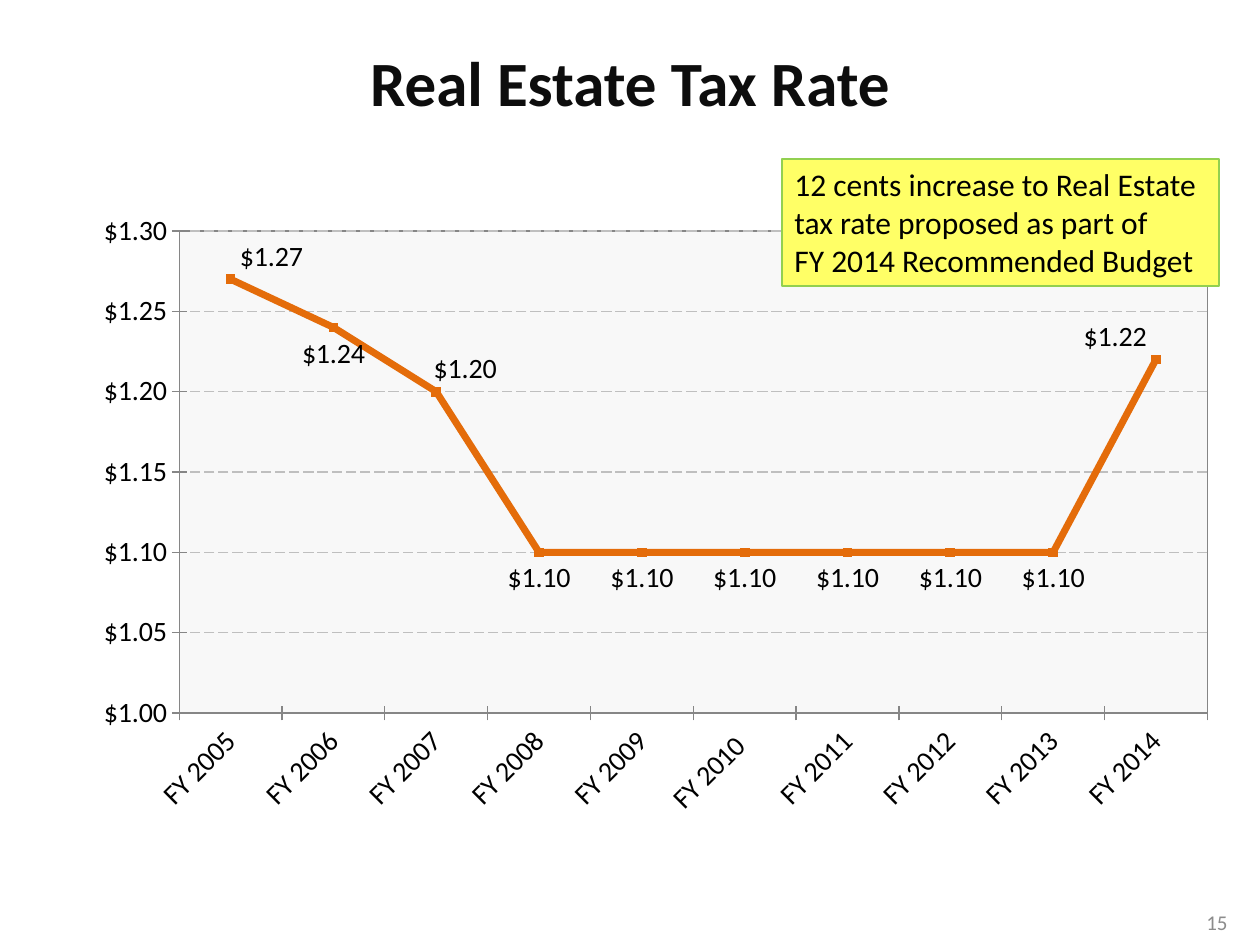
from lxml import etree
from pptx import Presentation
from pptx.chart.data import CategoryChartData
from pptx.dml.color import RGBColor
from pptx.enum.chart import XL_CHART_TYPE, XL_LABEL_POSITION, XL_MARKER_STYLE, XL_TICK_MARK
from pptx.enum.dml import MSO_LINE
from pptx.enum.shapes import MSO_SHAPE
from pptx.enum.text import MSO_ANCHOR, MSO_AUTO_SIZE, PP_ALIGN
from pptx.oxml import parse_xml
from pptx.oxml.ns import nsdecls, qn
from pptx.util import Pt

BELOW, LEFT, RIGHT = XL_LABEL_POSITION.BELOW, XL_LABEL_POSITION.LEFT, XL_LABEL_POSITION.RIGHT
CROSS = XL_TICK_MARK.CROSS
FONT = "Calibri"
MONEY = '"$"#,##0.00'
ORANGE = "E46C0A"

TITLE = "Real Estate Tax Rate"
NOTE = ["12 cents increase to Real Estate tax rate proposed as part of",
        "FY 2014 Recommended Budget"]
PAGE = "15"
RATES = [("FY 2005", 1.27), ("FY 2006", 1.24), ("FY 2007", 1.2), ("FY 2008", 1.1),
         ("FY 2009", 1.1), ("FY 2010 ", 1.1), ("FY 2011", 1.1), ("FY 2012", 1.1),
         ("FY 2013", 1.1), ("FY 2014", 1.22)]
MOVED_LABELS = {0: (RIGHT, 0, -0.03), 2: (RIGHT, -0.01, -0.03), 9: (LEFT, 0, -0.03)}
PLOT = {"x": 0.123, "y": 0.023, "w": 0.859, "h": 0.656}


def px(n):
    return round(n * 914400 / 126)


def box(*lengths):
    return [px(n) for n in lengths]


def rgb(color):
    return RGBColor.from_string(color)


def style(font, size, color="000000", bold=False):
    font.name, font.size, font.bold = FONT, Pt(size), bold
    font.color.rgb = rgb(color)


def line(fmt, color, width):
    fmt.color.rgb = rgb(color)
    fmt.width = Pt(width)


def layout(settings):
    root = parse_xml(f"<c:layout {nsdecls('c')}><c:manualLayout/></c:layout>")
    for tag, value in settings.items():
        etree.SubElement(root[0], qn(f"c:{tag}")).set("val", str(value))
    return root


def add_title(s):
    sp = s.shapes.title
    sp.left, sp.top, sp.width, sp.height = box(344, 37, 572, 89)
    tf = sp.text_frame
    tf.text = TITLE
    tf.word_wrap = False
    tf.auto_size = MSO_AUTO_SIZE.SHAPE_TO_FIT_TEXT
    tf.vertical_anchor = MSO_ANCHOR.TOP
    style(tf.paragraphs[0].runs[0].font, 36, "0D0D0D", True)


def add_rate_chart(s):
    data = CategoryChartData(number_format=MONEY)
    data.categories = [year for year, rate in RATES]
    data.add_series("Series 1", [rate for year, rate in RATES])
    chart = s.shapes.add_chart(XL_CHART_TYPE.LINE_MARKERS, *box(32, 214, 1197, 735), data).chart
    chart.has_legend = chart.has_title = False
    style(chart.font, 18)

    for axis in (chart.category_axis, chart.value_axis):
        axis.major_tick_mark = CROSS
        style(axis.tick_labels.font, 16)
        line(axis.format.line, "868686", 0.75)
    labels = chart.category_axis.tick_labels.font
    chart.category_axis._element.find(qn("c:txPr")).find(qn("a:bodyPr")).set("rot", "-2700000")

    axis = chart.value_axis
    axis.minimum_scale, axis.maximum_scale, axis.major_unit = 1, 1.3, 0.05
    axis.tick_labels.number_format = MONEY
    axis.tick_labels.number_format_is_linked = False
    grid = axis.major_gridlines.format.line
    line(grid, "BFBFBF", 0.75)
    grid.dash_style = MSO_LINE.LONG_DASH

    plot = chart.plots[0]
    plot.vary_by_categories = False
    series = plot.series[0]
    series.smooth = False
    line(series.format.line, ORANGE, 4)
    series.marker.style, series.marker.size = XL_MARKER_STYLE.SQUARE, 5
    series.marker.format.fill.solid()
    series.marker.format.fill.fore_color.rgb = rgb(ORANGE)
    line(series.marker.format.line, ORANGE, 0.75)

    labels = series.data_labels
    labels.show_value = True
    labels.position = BELOW
    labels.number_format, labels.number_format_is_linked = MONEY, False
    style(labels.font, 16)
    for i, (position, dx, dy) in MOVED_LABELS.items():
        label = series.points[i].data_label
        style(label.font, 16)
        label.position = position
        element = next(d for d in labels._element.findall(qn("c:dLbl"))
                       if d.find(qn("c:idx")).get("val") == str(i))
        element.insert(1, layout({"x": dx, "y": dy}))

    area = chart._chartSpace.chart.plotArea
    for old in area.findall(qn("c:layout")):
        area.remove(old)
    area.insert(0, layout({"layoutTarget": "inner", "xMode": "edge", "yMode": "edge", **PLOT}))
    area.append(parse_xml(
        f"<c:spPr {nsdecls('c', 'a')}><a:solidFill><a:srgbClr val='F2F2F2'>"
        "<a:alpha val='50000'/></a:srgbClr></a:solidFill><a:ln w='9525'><a:solidFill>"
        "<a:srgbClr val='868686'/></a:solidFill></a:ln></c:spPr>"))


def add_page_number(s):
    tf = s.shapes.add_textbox(*box(946, 897, 294, 50)).text_frame
    tf.word_wrap = True
    tf.vertical_anchor = MSO_ANCHOR.MIDDLE
    tf.text = PAGE
    p = tf.paragraphs[0]
    p.alignment = PP_ALIGN.RIGHT
    style(p.runs[0].font, 12, "8C8C8C")


def add_note(s):
    sp = s.shapes.add_shape(MSO_SHAPE.RECTANGLE, *box(782, 159, 437, 127))
    sp.shadow.inherit = False
    sp.fill.solid()
    sp.fill.fore_color.rgb = rgb("FFFF66")
    line(sp.line, "92D050", 0.75)
    tf = sp.text_frame
    tf.word_wrap = True
    tf.auto_size = MSO_AUTO_SIZE.SHAPE_TO_FIT_TEXT
    tf.vertical_anchor = MSO_ANCHOR.TOP
    tf.text = "\n".join(NOTE)
    for p in tf.paragraphs:
        p.alignment = PP_ALIGN.LEFT
        style(p.runs[0].font, 18)


def main():
    prs = Presentation()
    prs.slide_width, prs.slide_height = box(1260, 945)
    s = prs.slides.add_slide(prs.slide_layouts[5])
    add_title(s)
    add_rate_chart(s)
    add_page_number(s)
    add_note(s)
    prs.save("out.pptx")


if __name__ == "__main__":
    main()
